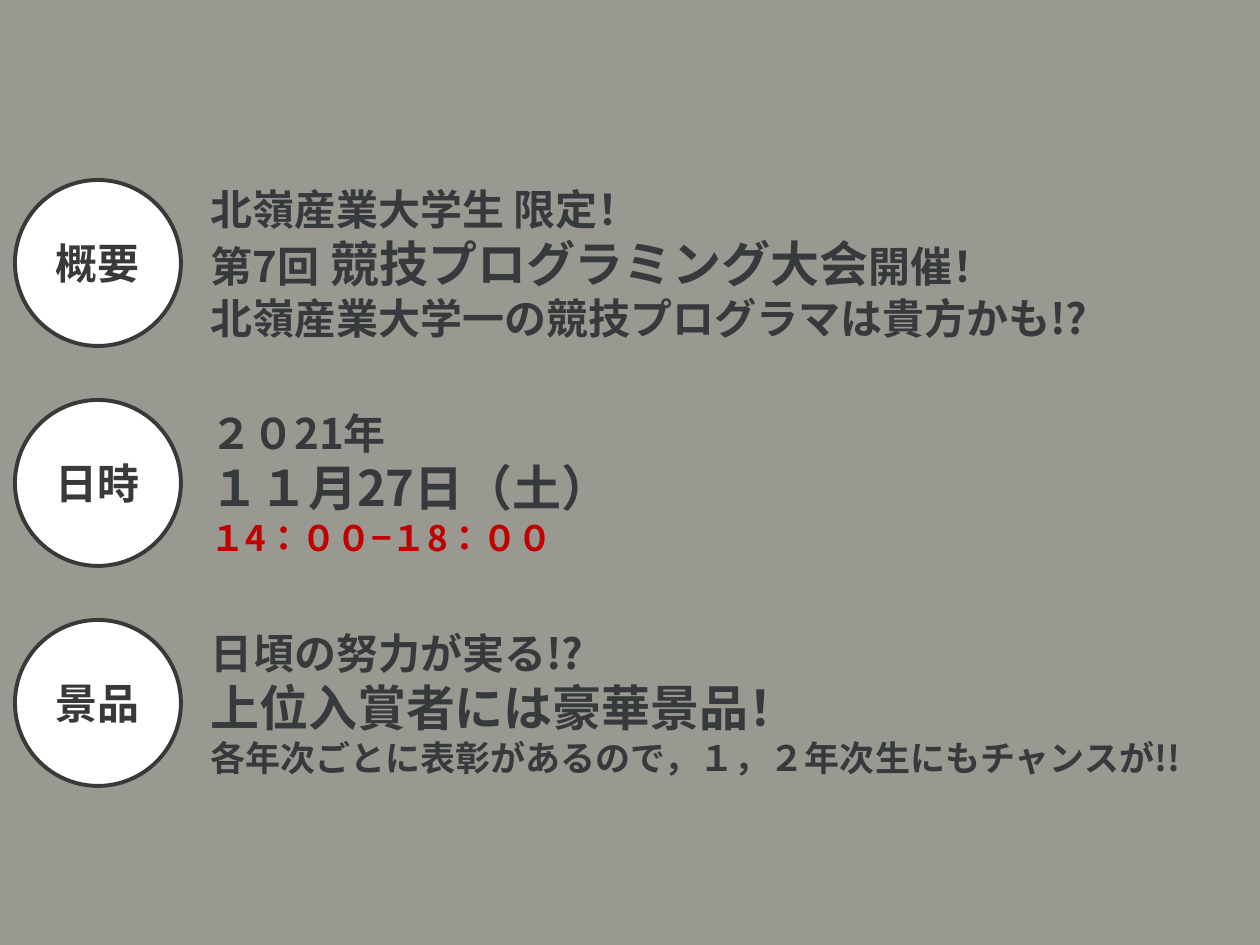
from dataclasses import dataclass

from lxml import etree
from pptx import Presentation
from pptx.dml.color import RGBColor
from pptx.enum.shapes import MSO_SHAPE
from pptx.enum.text import MSO_ANCHOR, PP_ALIGN
from pptx.oxml.ns import qn
from pptx.util import Pt

OVAL = MSO_SHAPE.OVAL
MIDDLE = MSO_ANCHOR.MIDDLE
CENTER = PP_ALIGN.CENTER
PX = 914400 / 126


@dataclass(frozen=True)
class Theme:
    background: RGBColor = RGBColor.from_string("9A9991")
    badge: RGBColor = RGBColor.from_string("FFFFFF")
    badge_ink: RGBColor = RGBColor.from_string("3B3838")
    ink: RGBColor = RGBColor.from_string("373A3C")
    accent: RGBColor = RGBColor.from_string("C00000")
    badge_font: str = "Calibri"
    font: str = "Noto Sans CJK JP"
    large: int = 28
    normal: int = 24
    small: int = 20
    outline: float = 2.25


THEME = Theme()

# Each line is a list of (text, size, colour) runs
ROWS = [
    ("概要", 925, [
        [("北嶺産業大学生 限定！", THEME.normal, THEME.ink)],
        [("第7回", THEME.normal, THEME.ink),
         (" 競技プログラミング大会", THEME.large, THEME.ink),
         ("開催！", THEME.normal, THEME.ink)],
        [("北嶺産業大学一の競技プログラマは貴方かも!?", THEME.normal, THEME.ink)],
    ]),
    ("日時", 925, [
        [("２０21年", THEME.normal, THEME.ink)],
        [("１１月27日（土）", THEME.large, THEME.ink)],
        [("１4：００−１8：００", THEME.small, THEME.accent)],
    ]),
    ("景品", 1033, [
        [("日頃の努力が実る!?", THEME.normal, THEME.ink)],
        [("上位入賞者には豪華景品！", THEME.large, THEME.ink)],
        [("各年次ごとに表彰があるので，１，２年次生にもチャンスが!!",
          THEME.small, THEME.ink)],
    ]),
]


def px(n):
    return round(n * PX)


def add_run(p, text, size, color, font):
    r = p.add_run()
    r.text = text
    r.font.size = Pt(size)
    r.font.bold = True
    r.font.color.rgb = color
    r.font.name = font
    # East Asian typeface
    ea = etree.Element(qn("a:ea"), typeface=THEME.font)
    r.font._element.find(qn("a:latin")).addnext(ea)


def add_badge(slide, left, top, size, label):
    sp = slide.shapes.add_shape(OVAL, px(left), px(top), px(size), px(size))
    sp.shadow.inherit = False
    sp.fill.solid()
    sp.fill.fore_color.rgb = THEME.badge
    sp.line.color.rgb = THEME.badge_ink
    sp.line.width = Pt(THEME.outline)
    tf = sp.text_frame
    tf.vertical_anchor = MIDDLE
    p = tf.paragraphs[0]
    p.alignment = CENTER
    add_run(p, label, THEME.normal, THEME.badge_ink, THEME.badge_font)


def add_details(slide, left, top, width, height, lines):
    box = slide.shapes.add_textbox(px(left), px(top), px(width), px(height))
    tf = box.text_frame
    tf.word_wrap = True
    tf.vertical_anchor = MIDDLE
    for i, runs in enumerate(lines):
        p = tf.add_paragraph() if i else tf.paragraphs[0]
        for text, size, color in runs:
            add_run(p, text, size, color, THEME.font)


def add_row(slide, left, top, height, label, text_width, lines):
    gap = 17
    add_badge(slide, left, top, height, label)
    add_details(slide, left + height + gap, top, text_width, height, lines)


def main():
    prs = Presentation()
    prs.slide_width, prs.slide_height = px(1260), px(945)
    slide = prs.slides.add_slide(prs.slide_layouts[6])

    # Background
    fill = slide.background.fill
    fill.solid()
    fill.fore_color.rgb = THEME.background

    # Overview, date and prize rows at an equal pitch
    left, top, height, pitch = 15, 180, 166, 220
    for i, (label, text_width, lines) in enumerate(ROWS):
        add_row(slide, left, top + i * pitch, height, label, text_width, lines)

    prs.save("out.pptx")


if __name__ == "__main__":
    main()
